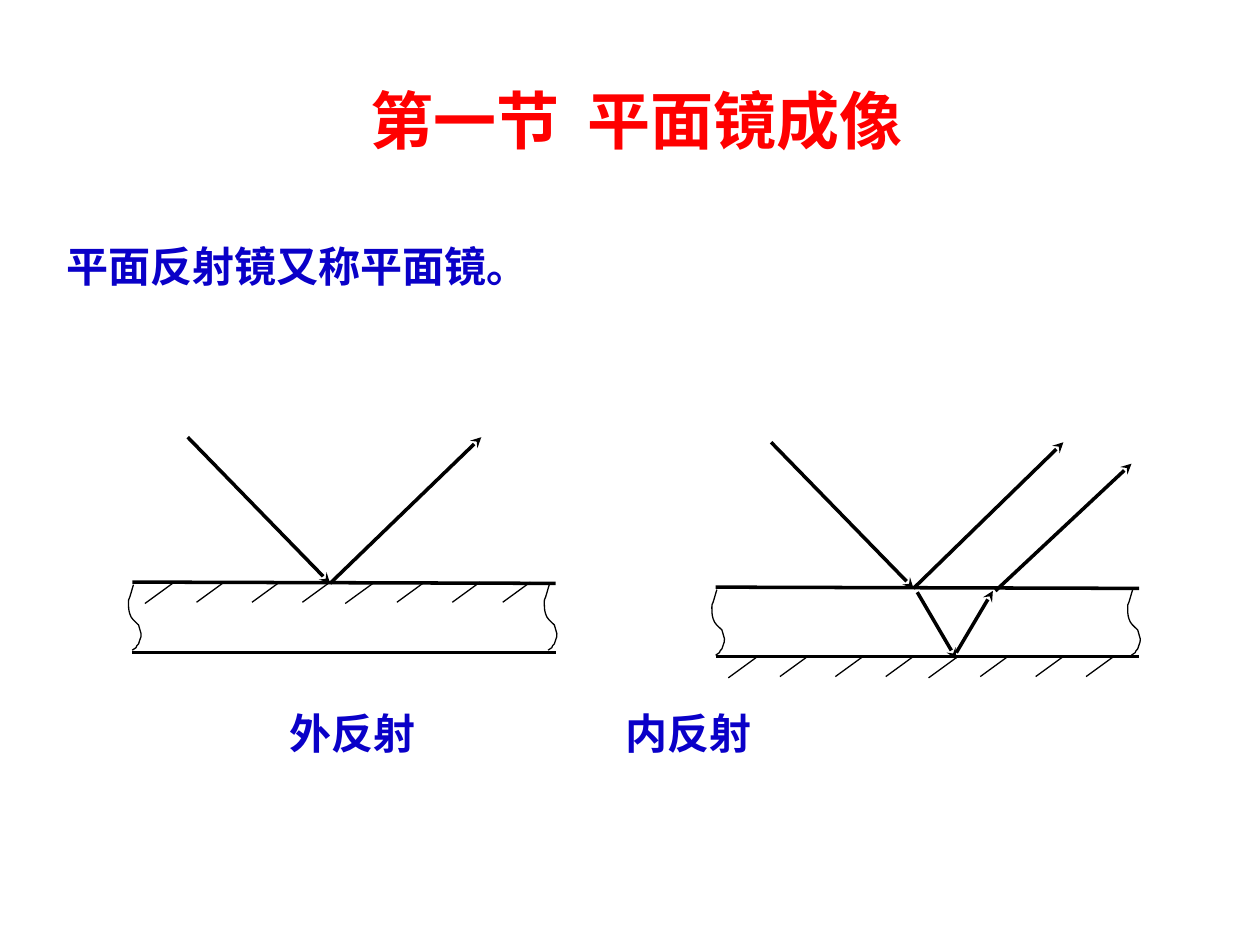
from lxml import etree
from pptx import Presentation
from pptx.dml.color import RGBColor
from pptx.enum.shapes import MSO_CONNECTOR
from pptx.enum.text import MSO_ANCHOR, PP_ALIGN
from pptx.oxml.ns import qn
from pptx.util import Inches, Pt

STRAIGHT = MSO_CONNECTOR.STRAIGHT
MIDDLE, TOP = MSO_ANCHOR.MIDDLE, MSO_ANCHOR.TOP
CENTER, LEFT = PP_ALIGN.CENTER, PP_ALIGN.LEFT
BLACK = RGBColor(0x00, 0x00, 0x00)
RED = RGBColor(0xFF, 0x00, 0x00)
BLUE = RGBColor(0x0A, 0x00, 0xC8)
FONT = "Noto Sans CJK SC"
THICK, THIN = 2, 0.75

MIRROR_LENGTH = 3.36
HATCH_GROUP_STEP = 1.59
HATCH_OFFSETS = (0.10, 0.51, 0.95, 1.35)
EDGE_SPACING = 3.3
# Broken edge of the glass, measured from its top point. Each segment ends
# at its last point; the two points before it, if any, bend it.
EDGE_SEGMENTS = (
    ((-0.01, 0.03), (-0.02, 0.07), (-0.03, 0.10)),
    ((-0.04, 0.11), (-0.04, 0.13), (-0.04, 0.14)),
    ((-0.04, 0.17), (-0.04, 0.20), (-0.03, 0.23)),
    ((-0.02, 0.27), (0.01, 0.29), (0.04, 0.32)),
    ((0.06, 0.39),),
    ((0.07, 0.41), (0.05, 0.42), (0.05, 0.44)),
    ((0.05, 0.45), (0.05, 0.46), (0.04, 0.47)),
    ((0.03, 0.48), (0.02, 0.49), (0.02, 0.50)),
    ((-0.01, 0.52),),
)


def add_text(slide, text, box_at, size, color, align=LEFT, anchor=TOP):
    box = slide.shapes.add_textbox(*(Inches(length) for length in box_at))
    frame = box.text_frame
    frame.word_wrap = True
    frame.vertical_anchor = anchor
    para = frame.paragraphs[0]
    para.alignment = align
    span = para.add_run()
    span.text = text
    span.font.size = Pt(size)
    span.font.bold = True
    span.font.name = FONT
    span.font.color.rgb = color
    east_asian = etree.SubElement(span.font._element, qn("a:ea"))
    east_asian.set("typeface", FONT)
    return para


def add_tab_stop(para, position):
    properties = para._p.get_or_add_pPr()
    tabs = etree.SubElement(properties, qn("a:tabLst"))
    etree.SubElement(tabs, qn("a:tab"), pos=str(Inches(position)), algn="l")


def add_line(slide, start, end, width, arrow=False):
    ends = (Inches(length) for length in (*start, *end))
    line = slide.shapes.add_connector(STRAIGHT, *ends)
    line.line.color.rgb = BLACK
    line.line.width = Pt(width)
    if arrow:
        outline = line.line._get_or_add_ln()
        etree.SubElement(outline, qn("a:tailEnd"), type="stealth")
    etree.SubElement(line._element.spPr, qn("a:effectLst"))


def add_rays(slide, rays):
    for start, end in rays:
        add_line(slide, start, end, THICK, arrow=True)


def bend_segments(shape, segments):
    """Turn the straight segments that have control points into cubic curves."""
    straight_segments = list(shape._element.iter(qn("a:lnTo")))
    for element, points in zip(straight_segments, segments):
        if len(points) == 1:
            continue
        curve = etree.Element(qn("a:cubicBezTo"))
        for x, y in points:
            etree.SubElement(curve, qn("a:pt"), x=str(x - shape.left), y=str(y - shape.top))
        element.getparent().replace(element, curve)


def add_broken_edge(slide, left, top):
    segments = [
        [(Inches(left + x), Inches(top + y)) for x, y in points]
        for points in EDGE_SEGMENTS
    ]
    builder = slide.shapes.build_freeform(Inches(left), Inches(top))
    builder.add_line_segments([points[-1] for points in segments], close=False)
    edge = builder.convert_to_shape()
    bend_segments(edge, segments)
    edge.shadow.inherit = False
    edge.fill.background()
    edge.line.color.rgb = BLACK
    edge.line.width = Pt(THIN)


def add_mirror(slide, left, top, bottom, hatch_top):
    """Draw a glass plate with hatching below its reflecting surface."""
    right = left + MIRROR_LENGTH
    add_line(slide, (left, top), (right, top + 0.01), THICK)
    add_line(slide, (left, bottom), (right, bottom), THICK)
    for group in range(2):
        for index, offset in enumerate(HATCH_OFFSETS):
            x = left + group * HATCH_GROUP_STEP + offset
            y = hatch_top + (0.01 if index == 0 else 0)
            add_line(slide, (x, y + 0.16), (x + 0.22, y), THIN)
    for side in range(2):
        add_broken_edge(slide, left + 0.01 + side * EDGE_SPACING, top + 0.02)


def main():
    deck = Presentation()
    deck.slide_width, deck.slide_height = Inches(10), Inches(7.5)
    page = deck.slides.add_slide(deck.slide_layouts[6])

    add_text(page, "第一节  平面镜成像", (1.09, 0.64, 7.92, 0.62), 36, RED, CENTER, MIDDLE)
    statement = add_text(page, "平面反射镜又称平面镜。", (0.43, 1.78, 9.25, 1.02), 24, BLUE)
    statement.line_spacing = 1.2
    statement.space_before = Pt(4.8)
    labels = add_text(page, "外反射\t内反射", (2.2, 5.57, 5.97, 0.5), 24, BLUE)
    add_tab_stop(labels, 2.67)

    add_mirror(page, 1.05, 4.62, bottom=5.18, hatch_top=4.62)
    add_rays(page, (
        ((1.49, 3.47), (2.62, 4.63)),
        ((2.62, 4.63), (3.82, 3.47)),
    ))

    add_mirror(page, 5.68, 4.66, bottom=5.21, hatch_top=5.21)
    add_rays(page, (
        ((6.12, 3.51), (7.25, 4.67)),
        ((7.25, 4.67), (8.44, 3.51)),
        ((7.28, 4.70), (7.59, 5.23)),
        ((7.59, 5.18), (7.88, 4.69)),
        ((7.90, 4.69), (8.98, 3.68)),
    ))
    deck.save("out.pptx")


if __name__ == "__main__":
    main()
